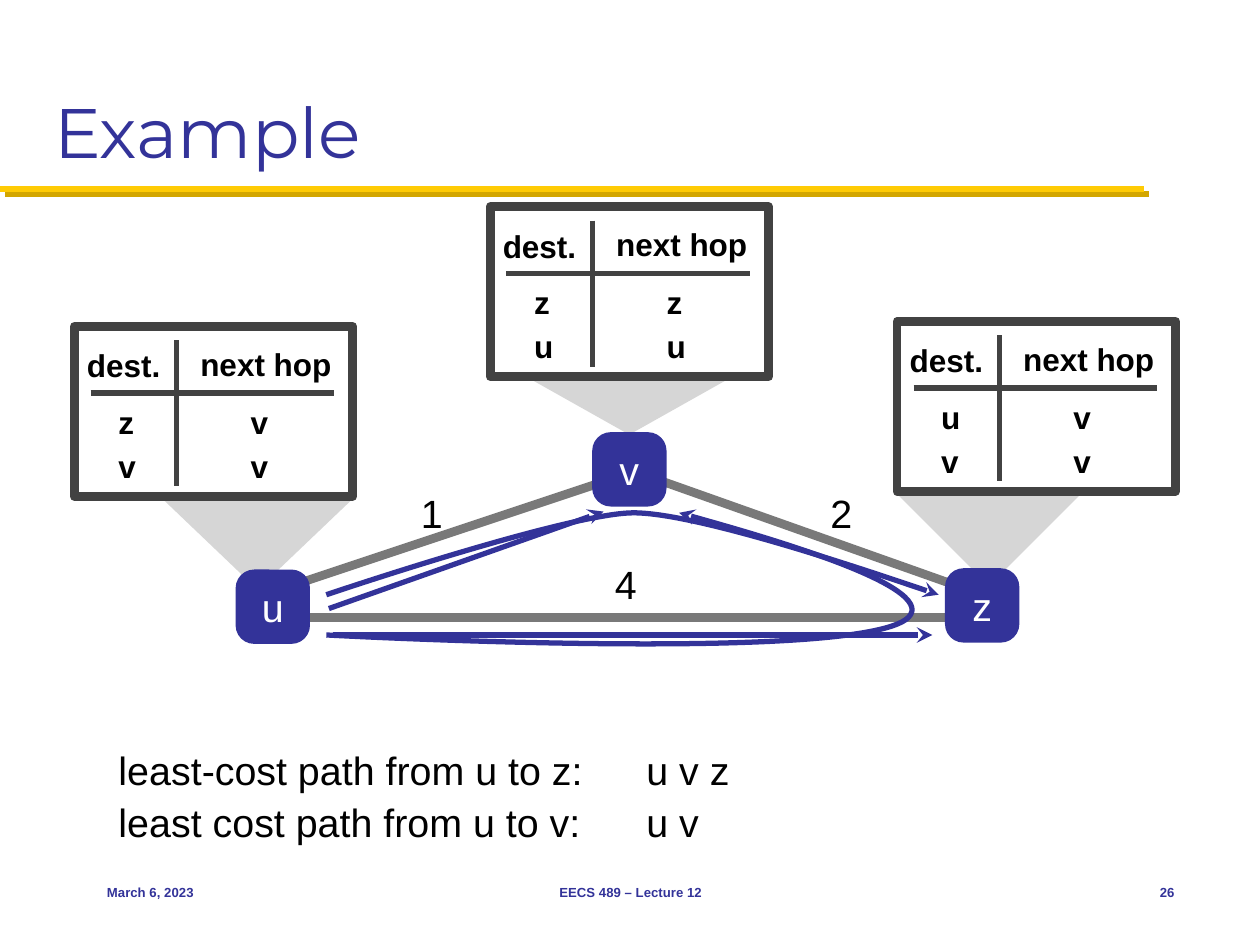
from pptx import Presentation
from pptx import util as u
from pptx.dml.color import RGBColor
from pptx.enum import shapes, text
from pptx.oxml import parse_xml
from pptx.oxml.ns import nsdecls, qn
from lxml import etree

COLORS = {"navy": "333399", "gold": "FFCB05", "gold_shadow": "D3A600", "link": "797979",
          "frame": "424242", "cone": "D6D6D6", "black": "000000", "white": "FFFFFF"}
LEFT, CENTER, RIGHT = text.PP_ALIGN.LEFT, text.PP_ALIGN.CENTER, text.PP_ALIGN.RIGHT


def color(name):
    return RGBColor.from_string(COLORS[name])


def inches(*lengths):
    return [u.Inches(length) for length in lengths]


def write(frame, words, size, ink="black", font="Arial", bold=False, align=LEFT,
          inset=(0.04, 0.04), anchor=text.MSO_ANCHOR.MIDDLE):
    frame.word_wrap = True
    frame.vertical_anchor = anchor
    frame.margin_left = frame.margin_right = u.Inches(inset[0])
    frame.margin_top = frame.margin_bottom = u.Inches(inset[1])
    paragraph = frame.paragraphs[0]
    paragraph.alignment = align
    run = paragraph.add_run()
    run.text = words
    run.font.size, run.font.name, run.font.bold = u.Pt(size), font, bold
    run.font.color.rgb = color(ink)


def add_label(parent, box, words, size=22.5, **style):
    write(parent.add_textbox(*inches(*box)).text_frame, words, size, **style)


def style_line(line, ink, width, arrow=False):
    line.color.rgb = color(ink)
    line.width = u.Pt(width)
    if arrow:
        tail = etree.SubElement(line._get_or_add_ln(), qn("a:tailEnd"))
        tail.set("type", "stealth")


def add_line(parent, start, end, ink, width, arrow=False):
    line = parent.add_connector(shapes.MSO_CONNECTOR.STRAIGHT, *inches(*start, *end))
    style_line(line.line, ink, width, arrow)
    return etree.SubElement(line._element.spPr, qn("a:effectLst"))


def add_outline(parent, points, close):
    builder = parent.build_freeform(*inches(*points[0]))
    builder.add_line_segments([inches(*point) for point in points[1:]], close=close)
    outline = builder.convert_to_shape()
    outline.shadow.inherit = False
    return outline


def add_cone(parent, left, top, width, height):
    points = [(left, top), (left + width, top), (left + width / 2, top + height)]
    cone = add_outline(parent, points, close=True)
    cone.fill.solid()
    cone.fill.fore_color.rgb = color("cone")
    cone.line.fill.background()


def add_curved_arrow(parent, points):
    curve = add_outline(parent, points, close=False)
    curve.fill.background()
    style_line(curve.line, "navy", 3, arrow=True)
    segments = list(curve._element.iter(qn("a:lnTo")))
    for first in range(0, len(segments), 3):
        bezier = etree.Element(qn("a:cubicBezTo"))
        segments[first].addprevious(bezier)
        for segment in segments[first:first + 3]:
            bezier.append(segment[0])
            segment.getparent().remove(segment)


def add_header(slide, left, top, width, height):
    title = slide.shapes.title
    title.left, title.top, title.width, title.height = inches(left, top, width, height)
    write(title.text_frame, "Example", 40, "navy", "Montserrat",
          inset=(0.1, 0.05), anchor=text.MSO_ANCHOR.BOTTOM)
    effects = add_line(slide.shapes, (0, 1.5), (9.08, 1.5), "gold", 3.5)
    effects.append(parse_xml(
        f'<a:outerShdw {nsdecls("a")} dist="53340" dir="2700000" algn="ctr" rotWithShape="0">'
        f'<a:srgbClr val="{COLORS["gold_shadow"]}"/></a:outerShdw>'))


def add_node(parent, left, top, name, side=0.59):
    node = parent.add_shape(shapes.MSO_SHAPE.ROUNDED_RECTANGLE, *inches(left, top, side, side))
    node.adjustments[0] = 0.25
    node.shadow.inherit = False
    node.fill.solid()
    node.fill.fore_color.rgb = color("navy")
    node.line.fill.background()
    write(node.text_frame, name, 22.5, "white", align=CENTER, inset=(0, 0))


def add_network(parent):
    for start, end in [((4.86, 3.8), (2.34, 4.64)), ((2.41, 4.9), (7.73, 4.9)),
                       ((5.2, 3.8), (7.74, 4.7))]:
        add_line(parent, start, end, "link", 5)
    for left, top, cost in [(4.84, 4.4, "4"), (3.3, 3.84, "1"), (6.55, 3.84, "2")]:
        add_label(parent, (left, top, 0.29, 0.46), cost)
    for left, top, name in [(4.7, 3.43, "v"), (1.87, 4.52, "u"), (7.5, 4.51, "z")]:
        add_node(parent, left, top, name)


def add_routes(parent):
    add_line(parent, (2.64, 5.04), (7.4, 5.04), "navy", 3, arrow=True)
    add_line(parent, (2.61, 4.83), (4.79, 4.06), "navy", 3, arrow=True)
    add_curved_arrow(parent, [(2.59, 4.72), (2.59, 4.72), (4.51, 4.07), (5.03, 4.07),
                              (5.55, 4.07), (7.45, 4.72), (7.45, 4.72)])
    add_curved_arrow(parent, [(2.59, 5.04), (2.59, 5.04), (6.84, 5.27), (7.21, 4.9),
                              (7.47, 4.64), (5.39, 4.07), (5.39, 4.07)])


def add_routing_table(slide, left, top, routes):
    table = slide.shapes.add_group_shape().shapes
    frame = table.add_shape(shapes.MSO_SHAPE.RECTANGLE, *inches(left, top, 2.21, 1.35))
    frame.shadow.inherit = False
    frame.fill.background()
    style_line(frame.line, "frame", 5)
    add_line(table, (left + 0.13, top + 0.53), (left + 2.06, top + 0.53), "frame", 3)
    add_line(table, (left + 0.81, top + 0.11), (left + 0.81, top + 1.27), "frame", 3)
    add_label(table, (left + 0.06, top + 0.08, 0.75, 0.46), "dest.", 18, bold=True)
    add_label(table, (left + 0.96, top + 0.07, 1.23, 0.46), "next hop", 18, bold=True)
    for row, (destination, next_hop) in enumerate(routes):
        row_top = top + 0.5 + 0.35 * row
        for offset, node in [(0.31, destination), (1.36, next_hop)]:
            add_label(table, (left + offset, row_top, 0.26, 0.51), node, 18, bold=True)


def add_answers(parent, left, top):
    answers = [("least-cost path from u to z:", "u v z"), ("least cost path from u to v:", "u v")]
    for row, (question, route) in enumerate(answers):
        row_top = top + 0.41 * row
        add_label(parent, (left, row_top, 4.05, 0.46), question)
        add_label(parent, (left + 4.19, row_top, 0.9, 0.46), route)


def add_footer(parent, top, height):
    for left, width, words, align in [(0.75, 2.08, "March 6, 2023", LEFT),
                                      (3.42, 3.17, "EECS 489 – Lecture 12", CENTER),
                                      (8.75, 0.67, "26", RIGHT)]:
        add_label(parent, (left, top, width, height), words, 7.5, ink="navy", bold=True,
                  align=align, inset=(0.1, 0.05))


def main():
    deck = Presentation()
    deck.slide_width, deck.slide_height = inches(10, 7.5)
    slide = deck.slides.add_slide(deck.slide_layouts[5])
    add_header(slide, 0.33, 0.17, 9.33, 1.25)
    for cone in [(7.12, 3.92, 1.46, 0.73), (4.23, 3.02, 1.53, 0.43), (1.28, 3.95, 1.53, 0.73)]:
        add_cone(slide.shapes, *cone)
    add_network(slide.shapes)
    add_answers(slide.shapes, 0.9, 5.88)
    add_routing_table(slide, 3.89, 1.64, [("z", "z"), ("u", "u")])
    add_routing_table(slide, 0.59, 2.59, [("z", "v"), ("v", "v")])
    add_routing_table(slide, 7.12, 2.55, [("u", "v"), ("v", "v")])
    add_routes(slide.shapes)
    add_footer(slide.shapes, 6.83, 0.5)
    deck.save("out.pptx")


if __name__ == "__main__":
    main()
